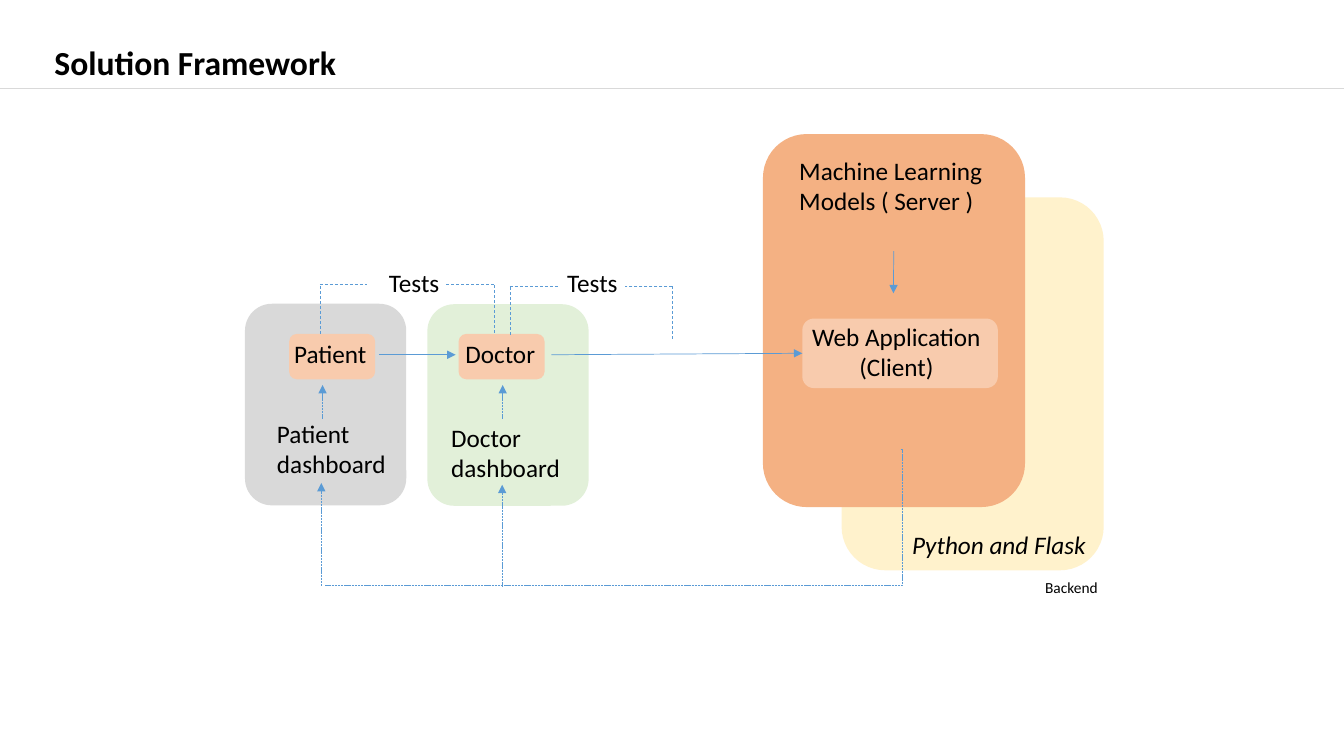
from dataclasses import dataclass

from lxml import etree
from pptx import Presentation
from pptx.dml.color import RGBColor
from pptx.enum.dml import MSO_LINE
from pptx.enum.shapes import MSO_CONNECTOR, MSO_SHAPE
from pptx.enum.text import MSO_ANCHOR, MSO_AUTO_SIZE, PP_ALIGN
from pptx.oxml.ns import qn
from pptx.util import Pt

ROUNDED = MSO_SHAPE.ROUNDED_RECTANGLE
STRAIGHT, ELBOW = MSO_CONNECTOR.STRAIGHT, MSO_CONNECTOR.ELBOW
DASH, FINE_DASH = MSO_LINE.DASH, MSO_LINE.SQUARE_DOT
LEFT, CENTER = PP_ALIGN.LEFT, PP_ALIGN.CENTER
TOP, MIDDLE = MSO_ANCHOR.TOP, MSO_ANCHOR.MIDDLE
FIXED = MSO_AUTO_SIZE.NONE
LEFT_SIDE = 1
FONT = "Calibri"

COLORS = {
    "text": "000000",
    "line": "5B9BD5",
    "rule": "D9D9D9",
    "backend": "FFF2CC",
    "doctor": "E2F0D9",
    "patient": "D9D9D9",
    "server": "F4B183",
    "chip": "F8CBAD",
}


@dataclass
class Box:
    left: float
    top: float
    width: float
    height: float
    color: str


@dataclass
class Label:
    text: str
    left: float
    top: float
    width: float
    height: float
    size: float = 18
    italic: bool = False
    align: PP_ALIGN = LEFT


@dataclass
class Line:
    x1: float
    y1: float
    x2: float
    y2: float
    dash: MSO_LINE | None = None
    arrow: bool = False
    color: str = "line"
    kind: MSO_CONNECTOR = STRAIGHT


@dataclass
class Bracket:
    left: float
    right: float
    top: float
    left_foot: float
    right_foot: float


def rgb(name: str) -> RGBColor:
    return RGBColor.from_string(COLORS[name])


def format_text(tf, size: float, align: PP_ALIGN, bold: bool = False, italic: bool = False) -> None:
    tf.word_wrap = True
    tf.auto_size = FIXED
    for p in tf.paragraphs:
        p.alignment = align
        for r in p.runs:
            r.font.name = FONT
            r.font.size = Pt(size)
            r.font.bold = bold
            r.font.italic = italic
            r.font.color.rgb = rgb("text")


def add_box(s, box: Box):
    sp = s.shapes.add_shape(ROUNDED, Pt(box.left), Pt(box.top), Pt(box.width), Pt(box.height))
    sp.shadow.inherit = False
    sp.fill.solid()
    sp.fill.fore_color.rgb = rgb(box.color)
    sp.line.fill.background()
    return sp


def add_label(s, label: Label) -> None:
    sp = s.shapes.add_textbox(Pt(label.left), Pt(label.top), Pt(label.width), Pt(label.height))
    tf = sp.text_frame
    tf.text = label.text
    tf.vertical_anchor = TOP
    format_text(tf, label.size, label.align, italic=label.italic)


def add_line(s, line: Line):
    cx = s.shapes.add_connector(line.kind, Pt(line.x1), Pt(line.y1), Pt(line.x2), Pt(line.y2))
    cx.line.width = Pt(0.5)
    cx.line.color.rgb = rgb(line.color)
    if line.dash is not None:
        cx.line.dash_style = line.dash
    sp_pr = cx._element.spPr
    if line.arrow:
        etree.SubElement(sp_pr.find(qn("a:ln")), qn("a:tailEnd"), type="triangle")
    etree.SubElement(sp_pr, qn("a:effectLst"))
    return cx


def add_bracket(s, b: Bracket, stub: float = 34) -> None:
    for x, foot, inner in (
        (b.left, b.left_foot, b.left + stub),
        (b.right, b.right_foot, b.right - stub),
    ):
        add_line(s, Line(x, foot, x, b.top, DASH))
        add_line(s, Line(x, b.top, inner, b.top, DASH))


PANELS = [
    Box(601.2, 141, 187.2, 266.4, "backend"),
    Box(305.3, 217.3, 115.2, 144, "doctor"),
    Box(175, 217, 115.2, 144, "patient"),
    Box(545, 95.8, 187.2, 266.4, "server"),
]
CHIPS = [
    Box(327.6, 238.5, 61.4, 32.4, "chip"),
    Box(206.6, 238.5, 61.4, 32.4, "chip"),
]
LABELS = [
    Label("Web Application\v(Client)", 569, 226, 142.6, 51, align=CENTER),
    Label("Doctor", 325.4, 238.3, 67.7, 29),
    Label("Patient", 203, 238.3, 67.7, 29),
    Label("Tests", 398, 187.2, 82, 29),
    Label("Tests", 270.7, 187.2, 82, 29),
    Label("Machine Learning\vModels ( Server )", 563.8, 107.3, 169.2, 51),
    Label("Patient dashboard", 190.8, 295.2, 98.6, 51),
    Label("Doctor dashboard", 315.2, 298, 98.6, 51),
    Label("Python and Flask", 644.4, 374.4, 159, 29, italic=True),
    Label("Backend", 739.4, 409.7, 104.4, 21, size=11),
]
BRACKETS = [
    Bracket(228.5, 352.8, 203.3, 238.3, 237.6),
    Bracket(364.3, 480.2, 204.5, 239, 242),
]
LINES = [
    Line(0, 63.2, 960, 63.2, color="rule"),
    Line(270.7, 253.4, 325.4, 253.4, arrow=True),
    Line(638.4, 179.3, 638.2, 209.5, arrow=True),
    Line(229.5, 418.5, 229.5, 345, FINE_DASH, True),
    Line(358.7, 419, 358.7, 346.3, FINE_DASH, True),
    Line(230.4, 299, 230.4, 275, FINE_DASH, True),
    Line(359.1, 299, 359.1, 275, FINE_DASH, True),
]


def main() -> None:
    prs = Presentation()
    prs.slide_width, prs.slide_height = Pt(960), Pt(540)
    s = prs.slides.add_slide(prs.slide_layouts[5])

    # Title
    title = s.shapes.title
    title.left, title.top, title.width, title.height = Pt(31.7), Pt(26.6), Pt(365.8), Pt(36)
    title.text_frame.text = "Solution Framework"
    title.text_frame.vertical_anchor = MIDDLE
    format_text(title.text_frame, 24, LEFT, bold=True)

    # Panels and role chips
    for box in PANELS + CHIPS:
        add_box(s, box)
    client = add_box(s, Box(573.1, 227.5, 139.7, 49.7, "chip"))

    # Labels
    for label in LABELS:
        add_label(s, label)

    # Dashed brackets around the tests
    for bracket in BRACKETS:
        add_bracket(s, bracket)

    # Arrows and header rule
    for line in LINES:
        add_line(s, line)
    request = add_line(s, Line(393.8, 253.4, 573.1, 252.4, arrow=True))
    request.end_connect(client, LEFT_SIDE)

    # Return path from the server, dropping before it runs left
    feedback = add_line(s, Line(643.3, 321.1, 231.8, 418.3, FINE_DASH, kind=ELBOW))
    guides = feedback._element.spPr.find(qn("a:prstGeom")).get_or_add_avLst()
    etree.SubElement(guides, qn("a:gd"), name="adj1", fmla="val -300")

    prs.save("out.pptx")


if __name__ == "__main__":
    main()
